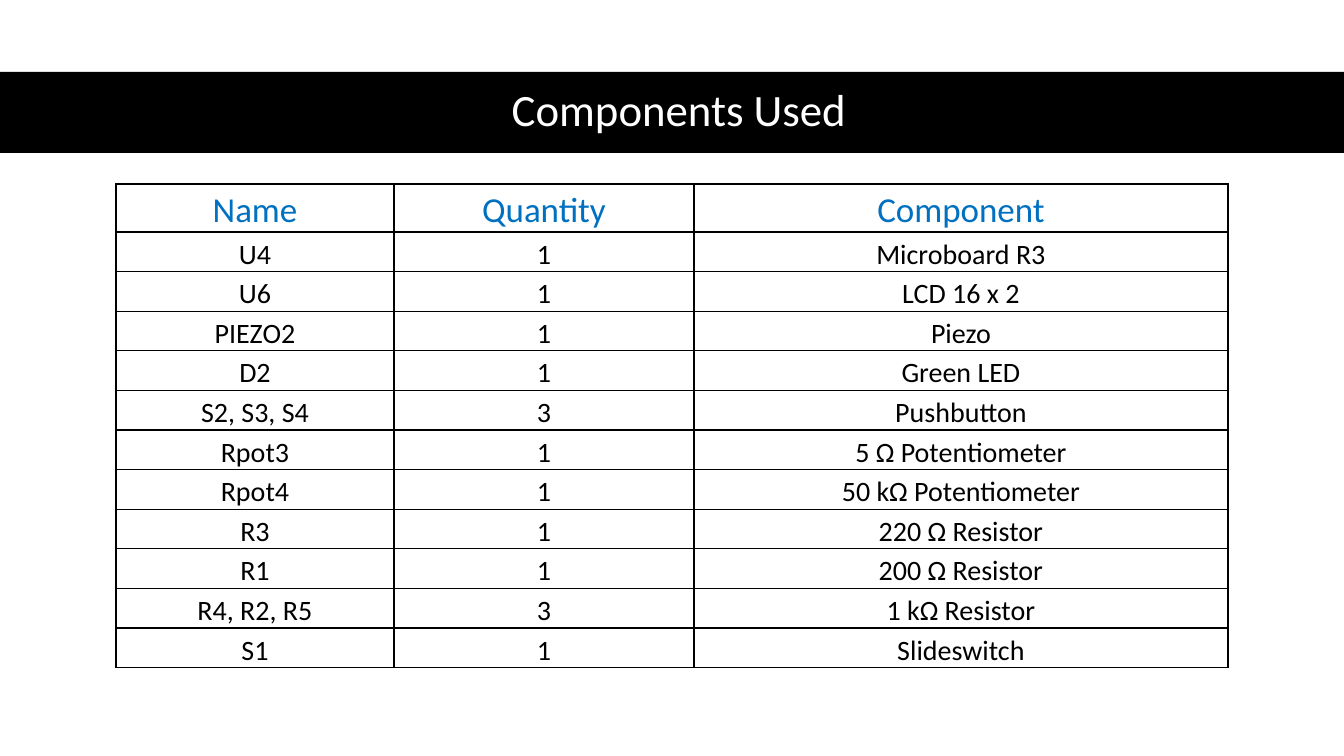
from pptx import Presentation
from pptx.dml.color import RGBColor
from pptx.enum.shapes import MSO_SHAPE as Preset
from pptx.enum.text import MSO_ANCHOR as Anchor, PP_ALIGN as Align
from pptx.oxml.ns import qn
from pptx.util import Pt
from lxml import etree

EMU_PER_PX = 914400 / 100.8
HEADER = ("Name", "Quantity", "Component")
COMPONENTS = [
    ("U4", "1", "Microboard R3"),
    ("U6", "1", "LCD 16 x 2"),
    ("PIEZO2", "1", "Piezo"),
    ("D2", "1", "Green LED"),
    ("S2, S3, S4", "3", "Pushbutton"),
    ("Rpot3", "1", "5 Ω Potentiometer"),
    ("Rpot4", "1", "50 kΩ Potentiometer"),
    ("R3", "1", "220 Ω Resistor"),
    ("R1", "1", "200 Ω Resistor"),
    ("R4, R2, R5", "3", "1 kΩ Resistor"),
    ("S1", "1", "Slideswitch"),
]


def px(length):
    return round(length * EMU_PER_PX)


def color(hex_string):
    return RGBColor.from_string(hex_string)


class SlideBuilder:
    font_name = "Calibri"
    black, white, blue = "000000", "FFFFFF", "0070C0"
    cell_format = {
        "vertical_anchor": Anchor.BOTTOM,
        "margin_left": px(1),
        "margin_right": px(1),
        "margin_top": px(1),
        "margin_bottom": 0,
    }
    title_format = {"word_wrap": True, "vertical_anchor": Anchor.MIDDLE}

    def __init__(self, presentation):
        self.slide = presentation.slides.add_slide(presentation.slide_layouts[6])

    def apply(self, target, values):
        for name, value in values.items():
            setattr(target, name, value)

    def centered_text(self, text_frame, text, size, hex_string):
        """Put one centred line into a text frame and return its paragraph."""
        paragraph = text_frame.paragraphs[0]
        paragraph.alignment = Align.CENTER
        run = paragraph.add_run()
        run.text = text
        self.apply(run.font, {"name": self.font_name, "size": Pt(size), "bold": False})
        run.font.color.rgb = color(hex_string)
        return paragraph

    def band(self, left, top, width, height):
        shape = self.slide.shapes.add_shape(
            Preset.RECTANGLE, px(left), px(top), px(width), px(height))
        shape.shadow.inherit = False
        shape.fill.solid()
        shape.fill.fore_color.rgb = color(self.black)
        shape.line.fill.background()

    def title(self, text, left, top, width, height):
        box = self.slide.shapes.add_textbox(px(left), px(top), px(width), px(height))
        self.apply(box.text_frame, self.title_format)
        paragraph = self.centered_text(box.text_frame, text, 32, self.white)
        paragraph.line_spacing = 0.9

    def border(self, cell):
        """Draw a 1 pt line on all four sides of a cell, ahead of its fill."""
        properties = cell._tc.get_or_add_tcPr()
        for position, side in enumerate(("a:lnL", "a:lnR", "a:lnT", "a:lnB")):
            line = etree.Element(qn(side), w=str(Pt(1)))
            fill = etree.SubElement(line, qn("a:solidFill"))
            etree.SubElement(fill, qn("a:srgbClr"), val=self.black)
            properties.insert(position, line)

    def table(self, header, body, left, top, widths, header_height, body_height):
        rows = [header, *body]
        table = self.slide.shapes.add_table(
            len(rows), len(header), px(left), px(top),
            px(sum(widths)), px(header_height + body_height)).table
        for column, width in zip(table.columns, widths):
            column.width = px(width)
        for row_index, texts in enumerate(rows):
            is_header = row_index == 0
            height = px(header_height) if is_header else px(body_height) // len(body)
            table.rows[row_index].height = height
            size, text_color = (25, self.blue) if is_header else (20, self.black)
            for column_index, text in enumerate(texts):
                cell = table.cell(row_index, column_index)
                self.apply(cell, self.cell_format)
                cell.fill.background()
                self.border(cell)
                self.centered_text(cell.text_frame, text, size, text_color)


def main():
    presentation = Presentation()
    presentation.slide_width, presentation.slide_height = px(1344), px(756)
    builder = SlideBuilder(presentation)
    builder.band(0, 72, 1344, 81)
    builder.title("Components Used", 61, 71, 1236, 82)
    builder.table(HEADER, COMPONENTS, 116, 184, (278, 300, 534), 48, 436)
    presentation.save("out.pptx")


if __name__ == "__main__":
    main()
